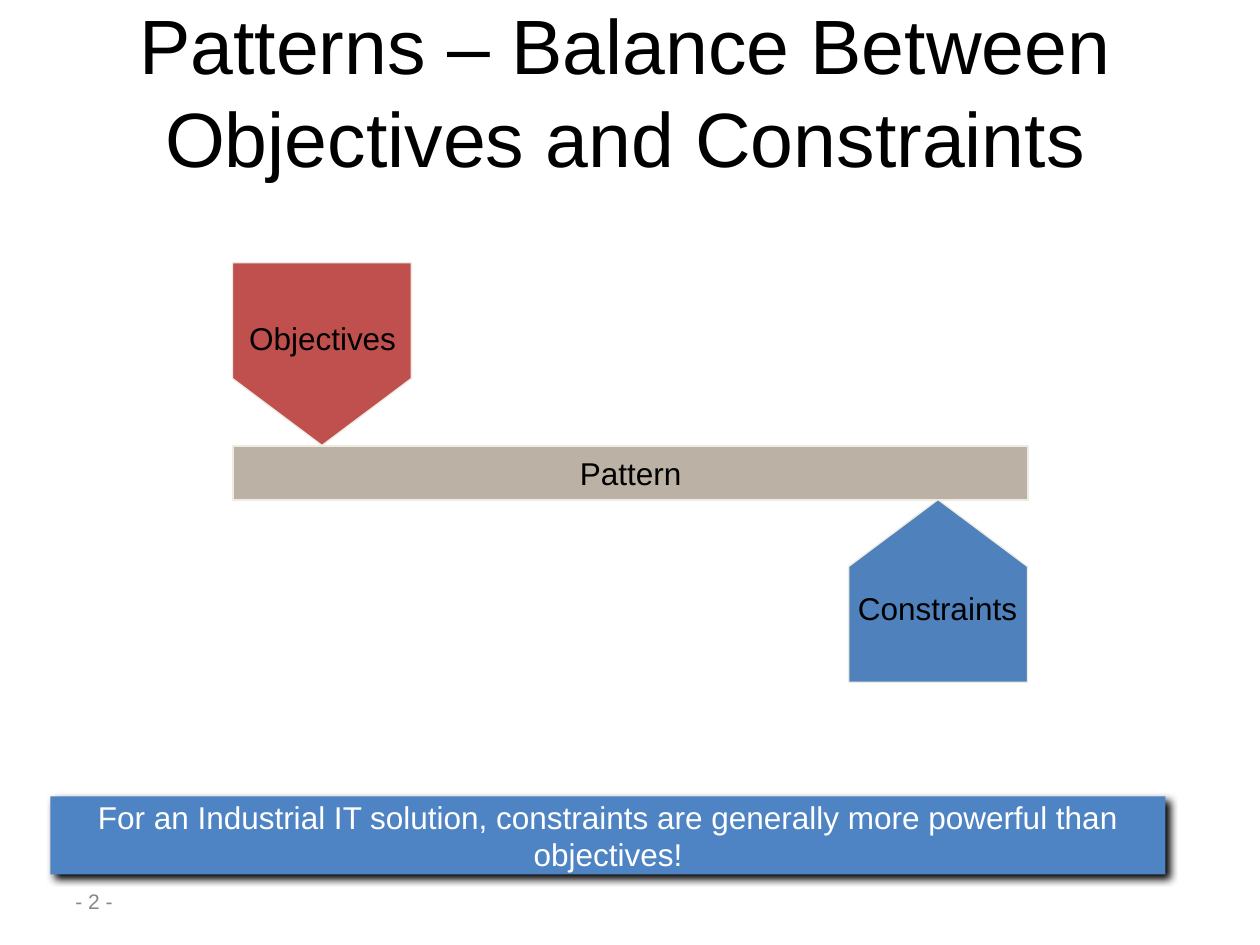
from lxml.etree import SubElement
from pptx import Presentation
from pptx.dml.color import RGBColor
from pptx.enum.shapes import MSO_SHAPE
from pptx.enum.text import MSO_ANCHOR, MSO_AUTO_SIZE, PP_ALIGN
from pptx.oxml.ns import qn
from pptx.util import Inches, Pt

COLORS = {
    "black": "000000",
    "white": "FFFFFF",
    "gray": "888888",
    "red": "C0504D",
    "blue": "4F81BD",
    "banner": "4E84C4",
    "sand": "BBB1A5",
    "edge": "EEECE1",
}


def color(name):
    return RGBColor.from_string(COLORS[name])


class Deck:
    font = "Arial"

    def __init__(self):
        self.show = Presentation()
        self.show.slide_width = Inches(10)
        self.show.slide_height = Inches(7.5)
        self.slide = self.show.slides.add_slide(self.show.slide_layouts[5])

    def place(self, item, box):
        item.left, item.top, item.width, item.height = map(Inches, box)

    def letter(self, item, text, size=18, ink="black", align=PP_ALIGN.CENTER, side=0.05):
        frame = item.text_frame
        frame.text = text
        frame.word_wrap = True
        frame.auto_size = MSO_AUTO_SIZE.NONE
        frame.vertical_anchor = MSO_ANCHOR.MIDDLE
        frame.margin_left = frame.margin_right = Inches(side)
        frame.margin_top = frame.margin_bottom = Inches(0.05)
        for para in frame.paragraphs:
            para.alignment = align
            for run in para.runs:
                run.font.name = self.font
                run.font.size = Pt(size)
                run.font.color.rgb = color(ink)

    def title(self, text, box):
        item = self.slide.shapes.title
        self.place(item, box)
        self.letter(item, text, size=44, side=0.1)

    def label(self, text, box, **style):
        item = self.slide.shapes.add_textbox(*map(Inches, box))
        self.letter(item, text, **style)

    def shape(self, kind, box, fill, width=0):
        item = self.slide.shapes.add_shape(kind, *map(Inches, box))
        item.shadow.inherit = False
        item.fill.solid()
        item.fill.fore_color.rgb = color(fill)
        if width:
            item.line.color.rgb = color("edge")
            item.line.width = Pt(width)
        else:
            item.line.fill.background()
        return item

    def bar(self, text, box, fill, width=0, **style):
        item = self.shape(MSO_SHAPE.RECTANGLE, box, fill, width)
        self.letter(item, text, **style)
        return item

    def arrow(self, text, box, space, fill, turn):
        item = self.shape(MSO_SHAPE.PENTAGON, box, fill, 0.75)
        item.adjustments[0] = 0.374
        item.rotation = turn
        self.label(text, space)

    def shade(self, item):
        effects = item._element.spPr.find(qn("a:effectLst"))
        shadow = SubElement(
            effects, qn("a:outerShdw"), blurRad=str(Pt(5)), dist=str(Pt(2.9)),
            dir=str(45 * 60000), algn="tl", rotWithShape="0")
        SubElement(shadow, qn("a:srgbClr"), val=COLORS["black"])


def main():
    deck = Deck()
    deck.label("- 2 -", (0.5, 6.95, 2.33, 0.4), size=12, ink="gray",
               align=PP_ALIGN.LEFT, side=0.1)
    deck.title("Patterns – Balance Between Objectives and Constraints",
               (0.18, 0.43, 9.57, 0.57))
    deck.arrow("Objectives", (1.83, 2.1, 1.45, 1.42),
               (1.85, 2.09, 1.42, 1.19), "red", 90)
    deck.bar("Pattern", (1.85, 3.54, 6.31, 0.43), "sand", 1)
    deck.arrow("Constraints", (6.72, 3.98, 1.45, 1.42),
               (6.73, 4.23, 1.42, 1.19), "blue", 270)
    banner = deck.bar(
        "For an Industrial IT solution, constraints are generally more powerful than objectives!",
        (0.4, 6.32, 8.85, 0.62), "banner", ink="white", side=0.1)
    deck.shade(banner)
    deck.show.save("out.pptx")


if __name__ == "__main__":
    main()
